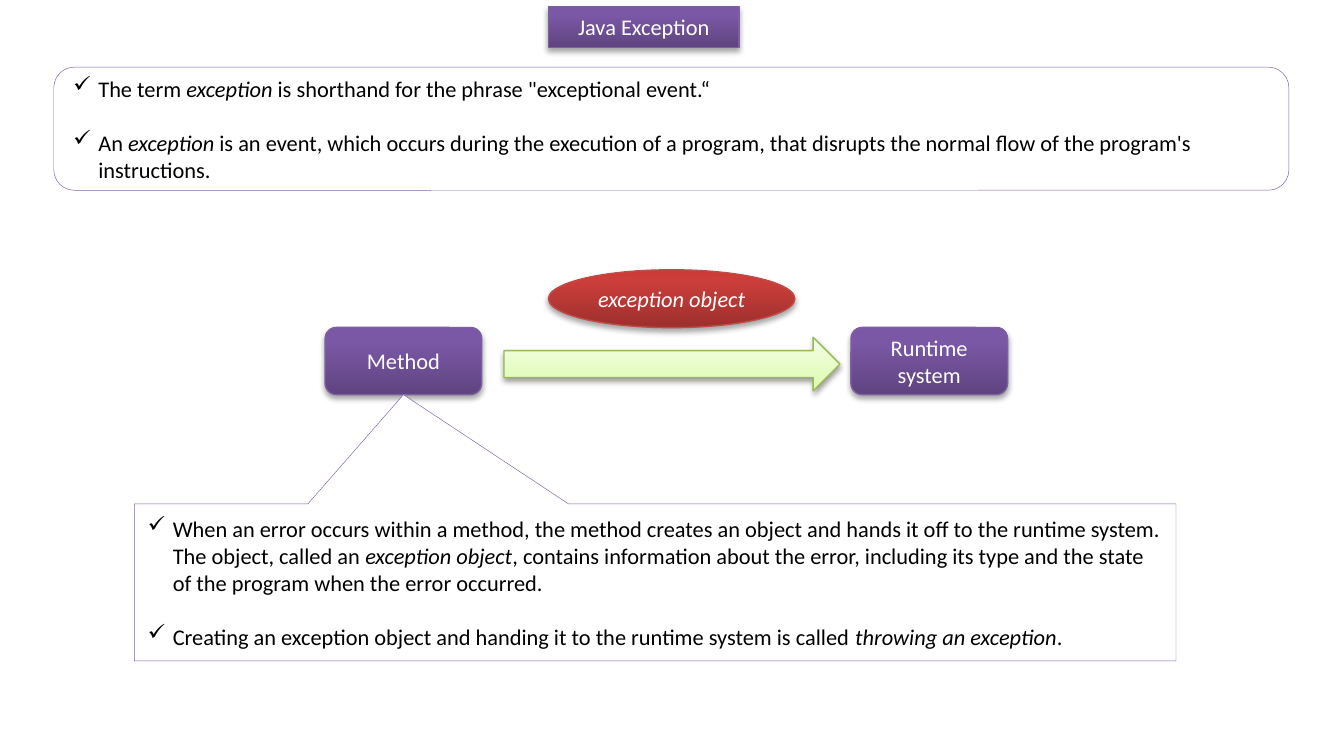
import lxml.etree
import pptx
import pptx.dml.color
import pptx.enum.shapes
import pptx.enum.text
import pptx.oxml.ns
import pptx.util

Pt = pptx.util.Pt
SHAPE = pptx.enum.shapes.MSO_SHAPE
ALIGN = pptx.enum.text.PP_ALIGN
ANCHOR = pptx.enum.text.MSO_ANCHOR
qn = pptx.oxml.ns.qn

# Content: a list item is a sequence of (text, italic) runs
TITLE = "Java Exception"
DEFINITION = [
    [("The term\u00a0", False), ("exception", True),
     ("\u00a0is shorthand for the phrase \"exceptional event.\u201c", False)],
    [("An\u00a0", False), ("exception", True),
     ("\u00a0is an event, which occurs during the execution of a program, that "
      "disrupts the normal flow of the program's instructions.", False)],
]
THROWING = [
    [("When an error occurs within a method, the method creates an object and hands it "
      "off to the runtime system. The object, called an\u00a0", False),
     ("exception object", True),
     (", contains information about the error, including its type and the state of the "
      "program when the error occurred.", False)],
    [("Creating an exception object and handing it to the runtime system is called\u00a0", False),
     ("throwing an exception", True), (".", False)],
]
NODES = ["Method", "Runtime system"]
MESSAGE = "exception object"

# Theme: gradients run from bottom to top, shadows are (opacity %, distance)
THEME = {
    "font": "Calibri", "size": 12, "light": "FFFFFF", "dark": "000000",
    "box_line": "8064A2", "thin": 0.25, "thick": 0.75,
    "purple": {"stops": [(0, "5F4480"), (80, "7B58A6"), (100, "7C57A8")],
               "line": "7D60A0", "shadow": (35, 1.8)},
    "red": {"stops": [(0, "9C2F2D"), (80, "CB3E3A"), (100, "CE3B37")],
            "line": "BF4C48", "shadow": (35, 1.8)},
    "green": {"stops": [(0, "DAFDA7"), (35, "E4FCC2"), (100, "F5FFE7")],
              "line": "98B955", "shadow": (38, 1.6)},
}

# Layout: left, top, width, height in points
TITLE_BOX = (293.8, 3.6, 102.2, 21.8)
DEFINITION_BOX = (28.8, 36, 661.7, 66)
CALLOUT_BOX = (72, 270, 558, 84.2)
ARROW_BOX = (270, 180.7, 180, 28.8)
MESSAGE_BOX = (293.8, 144.6, 132, 31)
NODE_LEFT, NODE_TOP, NODE_STEP = 174.2, 175.5, 281.7
NODE_SIZE = (83.9, 36)
INDENT, ITEM_GAP = 13.5, 14.65


def color(value):
    return pptx.dml.color.RGBColor.from_string(value)


def place(shape, box):
    shape.left, shape.top, shape.width, shape.height = map(Pt, box)


def add_shape(kind, box):
    return slide.shapes.add_shape(kind, *map(Pt, box))


def set_line(shape, value, width):
    shape.line.color.rgb = color(value)
    shape.line.width = Pt(width)


def add_element(parent, tag, **attributes):
    return lxml.etree.SubElement(parent, qn(tag), attributes)


def style_gradient(shape, look):
    """Gradient fill, outline and soft shadow below."""
    shape.fill.gradient()
    shape.fill.gradient_angle = 90
    stop_list = shape._element.spPr.find(".//" + qn("a:gsLst"))
    for stop in list(stop_list):
        stop_list.remove(stop)
    for position, value in look["stops"]:
        stop = add_element(stop_list, "a:gs", pos=str(position * 1000))
        add_element(stop, "a:srgbClr", val=value)
    set_line(shape, look["line"], THEME["thick"])
    shape.shadow.inherit = False
    opacity, distance = look["shadow"]
    shadow = add_element(shape._element.spPr.find(qn("a:effectLst")), "a:outerShdw",
                         blurRad=str(Pt(3.1)), dist=str(Pt(distance)),
                         dir="5400000", rotWithShape="0")
    shadow_color = add_element(shadow, "a:srgbClr", val="000000")
    add_element(shadow_color, "a:alpha", val=str(opacity * 1000))


def style_box(shape):
    shape.fill.solid()
    shape.fill.fore_color.rgb = color(THEME["light"])
    set_line(shape, THEME["box_line"], THEME["thin"])
    shape.shadow.inherit = False


def prepare_text(shape):
    frame = shape.text_frame
    frame.word_wrap = True
    frame.auto_size = pptx.enum.text.MSO_AUTO_SIZE.NONE
    frame.vertical_anchor = ANCHOR.MIDDLE
    return frame


def add_run(paragraph, text, value, italic=False):
    run = paragraph.add_run()
    run.text = text
    run.font.name = THEME["font"]
    run.font.size = Pt(THEME["size"])
    run.font.color.rgb = color(value)
    run.font.italic = italic


def add_label(shape, text, italic=False):
    paragraph = prepare_text(shape).paragraphs[0]
    paragraph.alignment = ALIGN.CENTER
    add_run(paragraph, text, THEME["light"], italic)


def add_check_list(shape, items):
    frame = prepare_text(shape)
    for index, runs in enumerate(items):
        paragraph = frame.add_paragraph() if index else frame.paragraphs[0]
        paragraph.alignment = ALIGN.LEFT
        paragraph.space_before = Pt(ITEM_GAP if index else 0)
        properties = paragraph._p.get_or_add_pPr()
        properties.set("marL", str(Pt(INDENT)))
        properties.set("indent", str(-Pt(INDENT)))
        add_element(properties, "a:buFont", typeface="Wingdings")
        add_element(properties, "a:buChar", char="\u00fc")
        for text, italic in runs:
            add_run(paragraph, text, THEME["dark"], italic)


presentation = pptx.Presentation()
presentation.slide_width, presentation.slide_height = Pt(720), Pt(396)
slide = presentation.slides.add_slide(presentation.slide_layouts[1])

# Title
title = slide.shapes.title
place(title, TITLE_BOX)
style_gradient(title, THEME["purple"])
add_label(title, TITLE)

# Definition list in a rounded box
definition = slide.placeholders[1]
place(definition, DEFINITION_BOX)
geometry = add_element(definition._element.spPr, "a:prstGeom", prst="roundRect")
add_element(geometry, "a:avLst")
style_box(definition)
add_check_list(definition, DEFINITION)

# Method and runtime system
for index, text in enumerate(NODES):
    node = add_shape(SHAPE.ROUNDED_RECTANGLE,
                     (NODE_LEFT + index * NODE_STEP, NODE_TOP, *NODE_SIZE))
    style_gradient(node, THEME["purple"])
    add_label(node, text)

# Exception object handed over
arrow = add_shape(SHAPE.RIGHT_ARROW, ARROW_BOX)
style_gradient(arrow, THEME["green"])
message = add_shape(SHAPE.OVAL, MESSAGE_BOX)
style_gradient(message, THEME["red"])
add_label(message, MESSAGE, italic=True)

# Callout pointing at the bottom centre of the method
callout = add_shape(SHAPE.RECTANGULAR_CALLOUT, CALLOUT_BOX)
left, top, width, height = CALLOUT_BOX
callout.adjustments[0] = (NODE_LEFT + NODE_SIZE[0] / 2 - left) / width - 0.5
callout.adjustments[1] = (NODE_TOP + NODE_SIZE[1] - top) / height - 0.5
style_box(callout)
add_check_list(callout, THROWING)

presentation.save("out.pptx")
